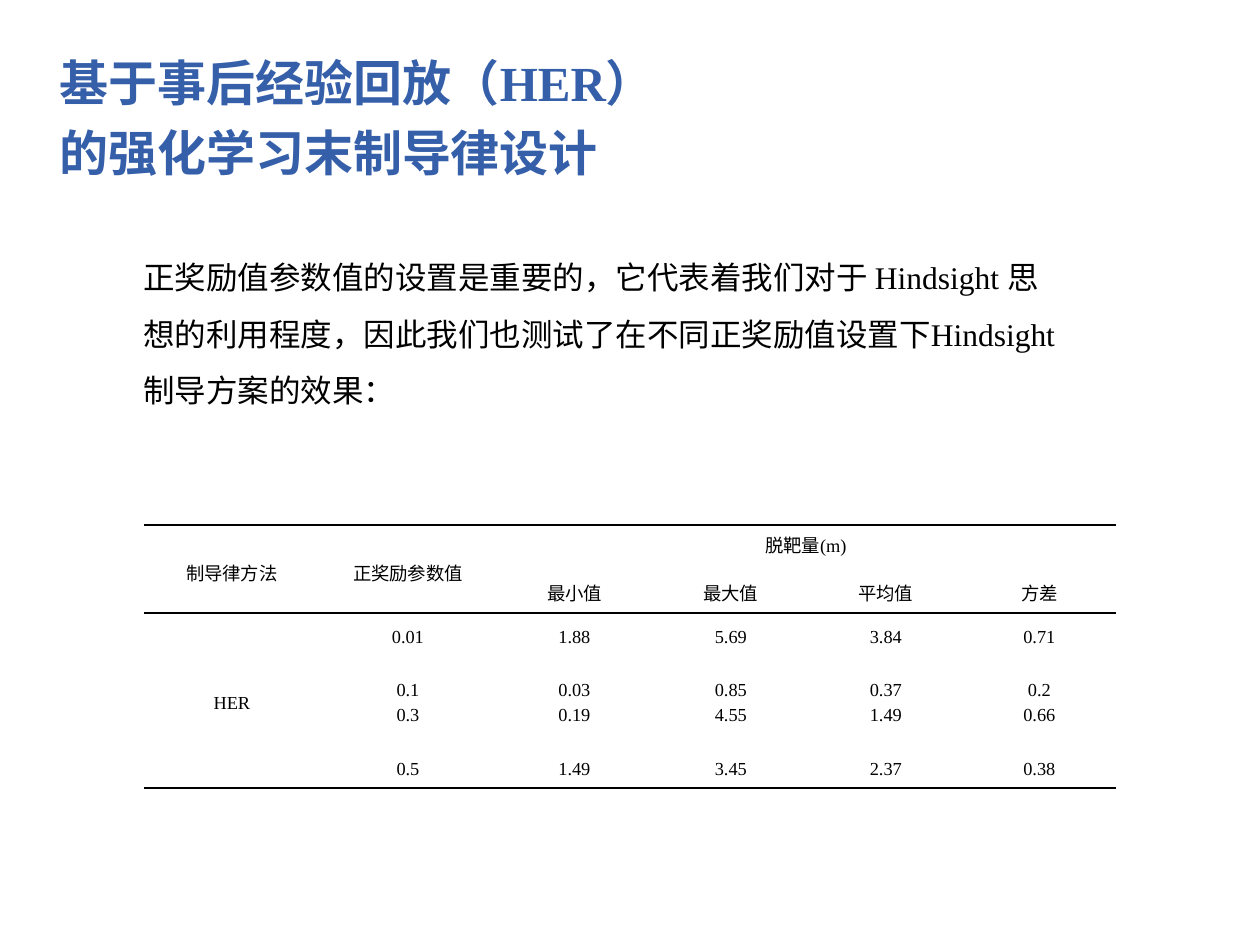
from lxml import etree
from pptx import Presentation
from pptx.dml.color import RGBColor
from pptx.enum.text import MSO_ANCHOR, MSO_AUTO_SIZE, PP_ALIGN
from pptx.oxml.ns import qn
from pptx.util import Pt

PX = 914400 // 126
BLUE = RGBColor(0x36, 0x5F, 0xAA)
BLACK = RGBColor(0, 0, 0)
SANS = "Noto Sans CJK SC"
SERIF = "Times New Roman"
PLAIN = "{2D5ABB26-0587-4C30-8999-92F81FD0307C}"
TOP, MIDDLE = MSO_ANCHOR.TOP, MSO_ANCHOR.MIDDLE
LEFT, CENTER = PP_ALIGN.LEFT, PP_ALIGN.CENTER
NONE = MSO_AUTO_SIZE.NONE


def add_run(para, text, color, **form):
    run = para.add_run()
    run.text = text
    run.font.color.rgb = color
    for key, value in form.items():
        setattr(run.font, key, value)
    east = etree.SubElement(run.font._element, qn("a:ea"))
    east.set("typeface", SANS)


def add_rule(cell, side, width):
    """Draw a black border on the top (lnT) or bottom (lnB) of a cell."""
    line = etree.Element(qn("a:" + side), w=str(Pt(width)))
    fill = etree.SubElement(line, qn("a:solidFill"))
    etree.SubElement(fill, qn("a:srgbClr"), val=str(BLACK))
    props = cell._tc.get_or_add_tcPr()
    props.insert(len(props.findall(qn("a:lnT"))), line)


deck = Presentation()
deck.slide_width, deck.slide_height = 1260 * PX, 945 * PX
slide = deck.slides.add_slide(deck.slide_layouts[5])

# Title
title = slide.shapes.title
spot = {"left": 47, "top": 34, "width": 653, "height": 146}
for key, value in spot.items():
    setattr(title, key, value * PX)
frame = title.text_frame
form = {"word_wrap": True, "auto_size": NONE, "vertical_anchor": TOP}
for key, value in form.items():
    setattr(frame, key, value)
para = frame.paragraphs[0]
para.alignment, para.line_spacing = LEFT, 1.2
parts = [("基于事后经验回放（", SANS), ("HER", SERIF),
         ("）的强化学习末制导律设计", SANS)]
for text, font in parts:
    add_run(para, text, BLUE, name=font, size=Pt(28), bold=True)

# Table
heads = ["制导律方法", "正奖励参数值", "脱靶量(m)", "", "", ""]
names = ["", "", "最小值", "最大值", "平均值", "方差"]
rows = [
    heads,
    names,
    ["HER", "0.01", "1.88", "5.69", "3.84", "0.71"],
    ["", "0.1\n0.3", "0.03\n0.19", "0.85\n4.55", "0.37\n1.49", "0.2\n0.66"],
    ["", "0.5", "1.49", "3.45", "2.37", "0.38"],
]
widths = [176, 176, 157, 156, 154, 153]
heights = [41, 47, 43, 89, 43]
spans = [(0, 0, 1, 0), (0, 1, 1, 1), (0, 2, 0, 5), (2, 0, 4, 0)]
rules = {1: 1, 4: 1.5}

holder = slide.shapes.add_table(
    len(rows), len(widths), 144 * PX, 525 * PX,
    sum(widths) * PX, sum(heights) * PX)
table = holder.table
table.first_row = table.horz_banding = False
table._tbl.tblPr.find(qn("a:tableStyleId")).text = PLAIN
for col, width in zip(table.columns, widths):
    col.width = width * PX
for row, height in zip(table.rows, heights):
    row.height = height * PX
for top, left, low, right in spans:
    table.cell(top, left).merge(table.cell(low, right))

for r, row in enumerate(rows):
    for c, text in enumerate(row):
        cell = table.cell(r, c)
        form = {"margin_left": 9 * PX, "margin_right": 9 * PX,
                "margin_top": 0, "margin_bottom": 0,
                "vertical_anchor": TOP if (r, c) == (0, 2) else MIDDLE}
        for key, value in form.items():
            setattr(cell, key, value)
        cell.fill.background()
        last = r + cell.span_height - 1 if cell.is_merge_origin else r
        if r == 0:
            add_rule(cell, "lnT", 1.5)
        if last in rules:
            add_rule(cell, "lnB", rules[last])
        if cell.is_spanned:
            continue
        for i, word in enumerate(text.split("\n")):
            body = cell.text_frame
            para = body.add_paragraph() if i else body.paragraphs[0]
            para.alignment, para.line_spacing = CENTER, 1.25
            add_run(para, word, BLACK, name=SERIF, size=Pt(10.5))

# Lead text
lead = slide.shapes.add_textbox(131 * PX, 233 * PX, 945 * PX, 178 * PX)
lead.text_frame.word_wrap = True
para = lead.text_frame.paragraphs[0]
para.line_spacing = 1.5
words = ("正奖励值参数值的设置是重要的，它代表着我们对于 Hindsight 思想的利用程度，"
         "因此我们也测试了在不同正奖励值设置下Hindsight 制导方案的效果：")
add_run(para, words, BLACK, name=SERIF, size=Pt(18))

deck.save("out.pptx")
